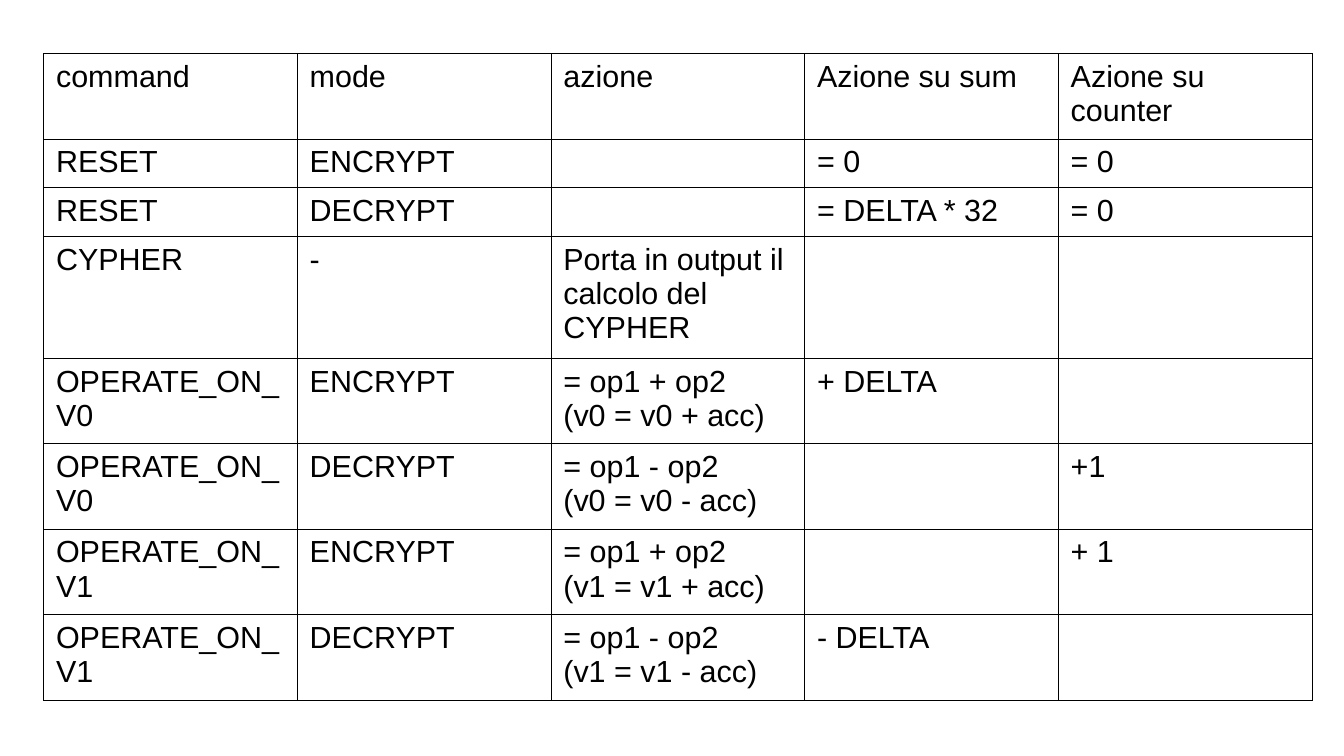
from dataclasses import dataclass

from lxml.etree import SubElement
from pptx import Presentation
from pptx.dml.color import RGBColor
from pptx.oxml.ns import qn
from pptx.util import Inches, Pt

ROWS = [
    ("command", "mode", "azione", "Azione su sum", "Azione su counter"),
    ("RESET", "ENCRYPT", "", "= 0", "= 0"),
    ("RESET", "DECRYPT", "", "= DELTA * 32", "= 0"),
    ("CYPHER", "-", "Porta in output il calcolo del CYPHER", "", ""),
    ("OPERATE_ON_V0", "ENCRYPT", "= op1 + op2\n(v0 = v0 + acc)", "+ DELTA", ""),
    ("OPERATE_ON_V0", "DECRYPT", "= op1 - op2\n(v0 = v0 - acc)", "", "+1"),
    ("OPERATE_ON_V1", "ENCRYPT", "= op1 + op2\n(v1 = v1 + acc)", "", "+ 1"),
    ("OPERATE_ON_V1", "DECRYPT", "= op1 - op2\n(v1 = v1 - acc)", "- DELTA", ""),
]
ONE_LINE, TWO_LINES, THREE_LINES = 0.4, 0.7, 1.0
ROW_HEIGHTS = [TWO_LINES, ONE_LINE, ONE_LINE, THREE_LINES] + [TWO_LINES] * 4
LEFT, TOP, COLUMN_WIDTH = 0.36, 0.44, 2.08


@dataclass(frozen=True)
class Theme:
    font: str = "Arial"
    text_size: float = 18
    ink: str = "000000"
    border_width: float = 0.57


THEME = Theme()


def add_borders(cell):
    properties = cell._tc.get_or_add_tcPr()
    for side in ("lnL", "lnR", "lnT", "lnB"):
        line = SubElement(properties, qn(f"a:{side}"), w=str(Pt(THEME.border_width)))
        fill = SubElement(line, qn("a:solidFill"))
        SubElement(fill, qn("a:srgbClr"), val=THEME.ink)


def fill_cell(cell, text):
    add_borders(cell)
    cell.fill.background()
    cell.margin_left = cell.margin_right = Inches(0.1)
    cell.margin_top = cell.margin_bottom = Inches(0.05)
    cell.text = text
    for paragraph in cell.text_frame.paragraphs:
        paragraph.font.name = THEME.font
        paragraph.font.size = Pt(THEME.text_size)
        paragraph.font.color.rgb = RGBColor.from_string(THEME.ink)


def add_command_table(slide):
    column_count = len(ROWS[0])
    table = slide.shapes.add_table(
        len(ROWS), column_count, Inches(LEFT), Inches(TOP),
        Inches(COLUMN_WIDTH * column_count), Inches(sum(ROW_HEIGHTS)),
    ).table
    table.first_row = table.horz_banding = False
    for column in table.columns:
        column.width = Inches(COLUMN_WIDTH)
    for row, height, texts in zip(table.rows, ROW_HEIGHTS, ROWS):
        row.height = Inches(height)
        for cell, text in zip(row.cells, texts):
            fill_cell(cell, text)


def main():
    presentation = Presentation()
    presentation.slide_width = Inches(11.02)
    presentation.slide_height = Inches(6.2)
    slide = presentation.slides.add_slide(presentation.slide_layouts[6])
    add_command_table(slide)
    presentation.save("out.pptx")


if __name__ == "__main__":
    main()
